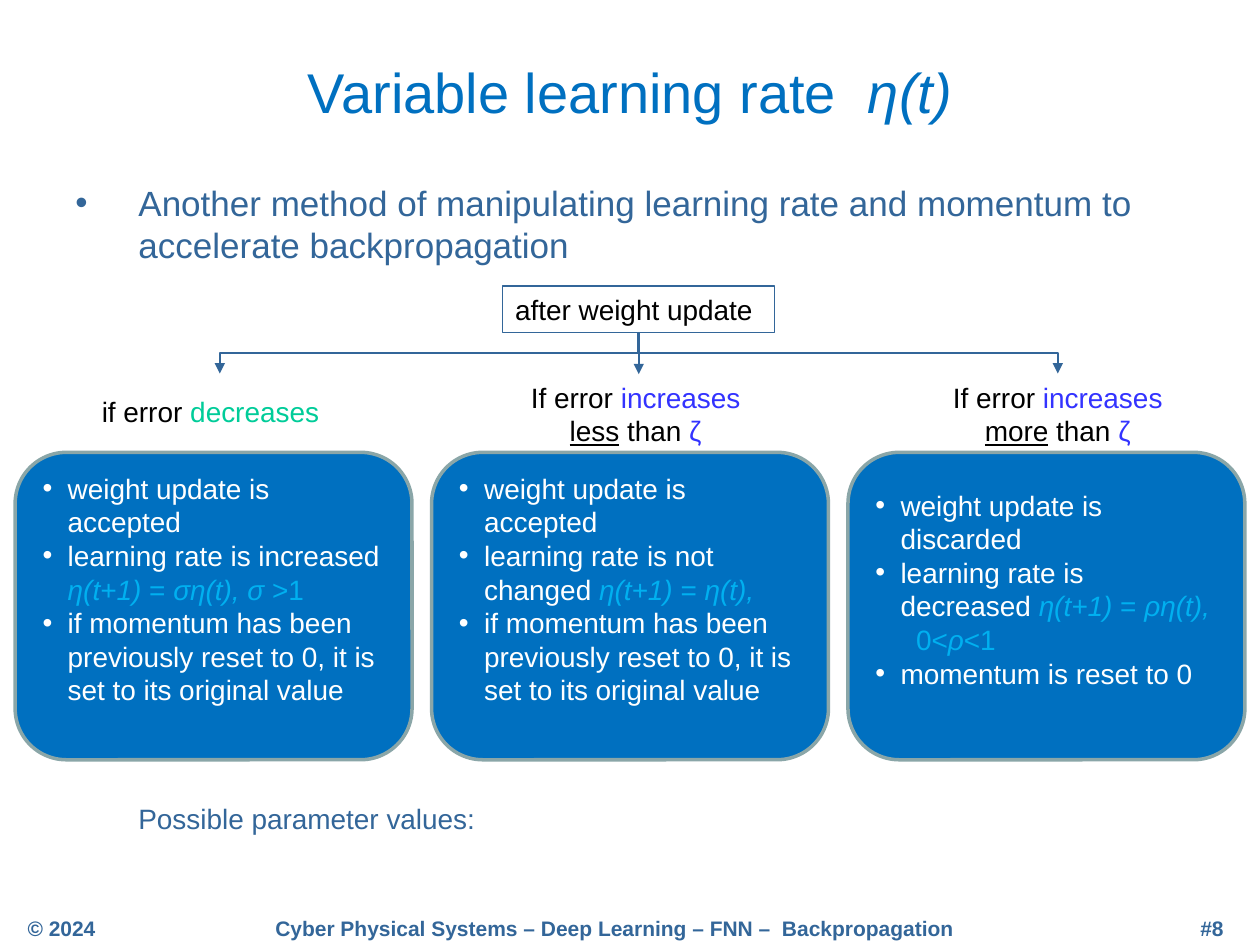
"""Build the slide on the variable learning rate, on a grid of 100 by 75 cells."""
from lxml import etree
from pptx import Presentation
from pptx.dml.color import RGBColor
from pptx.enum.shapes import MSO_CONNECTOR, MSO_SHAPE
from pptx.enum.text import MSO_ANCHOR, PP_ALIGN
from pptx.oxml.ns import qn
from pptx.util import Inches, Pt

LEFT, MID, RIGHT = PP_ALIGN.LEFT, PP_ALIGN.CENTER, PP_ALIGN.RIGHT
TOP, CENTRE = MSO_ANCHOR.TOP, MSO_ANCHOR.MIDDLE
RECT, ROUND = MSO_SHAPE.RECTANGLE, MSO_SHAPE.ROUNDED_RECTANGLE
BENT, STRAIGHT = MSO_CONNECTOR.ELBOW, MSO_CONNECTOR.STRAIGHT
CELL = Inches(0.1)
STEEL, BLUE, SKY, VIOLET = "336699", "0070C0", "00B0F0", "3333FF"
GREEN, GREY, BLACK, WHITE = "00CC99", "8AA6A8", "000000", "FFFFFF"


def tint(code):
    """Turn a hex string into a colour."""
    return RGBColor.from_string(code)


def write(shape, rows, size, align=LEFT, anchor=TOP, indent=0):
    """Fill a shape with rows of (text, colour, style) parts, bulleted if indented."""
    frame = shape.text_frame
    frame.word_wrap, frame.vertical_anchor = True, anchor
    for i, row in enumerate(rows):
        para = frame.add_paragraph() if i else frame.paragraphs[0]
        para.alignment = align
        for words, code, style in row:
            run = para.add_run()
            run.text = words
            font = run.font
            font.name, font.size = "Arial", Pt(size)
            font.color.rgb = tint(code)
            font.bold, font.italic = "b" in style, "i" in style
            font.underline = "u" in style
        if indent:
            props = para._p.get_or_add_pPr()
            props.set("marL", str(Inches(indent)))
            props.set("indent", str(-Inches(indent)))
            face = etree.SubElement(props, qn("a:buFont"))
            face.set("typeface", "Arial")
            etree.SubElement(props, qn("a:buChar")).set("char", "•")


deck = Presentation()
deck.slide_width, deck.slide_height = 100 * CELL, 75 * CELL
slide = deck.slides.add_slide(deck.slide_layouts[6])
shapes = slide.shapes

lead = "Another method of manipulating learning rate and momentum to accelerate backpropagation"
foot = "Cyber Physical Systems – Deep Learning – FNN –  Backpropagation"
title = [("Variable learning rate  ", BLUE, ""), ("η(t)", BLUE, "i")]
texts = [
    ((5, 3, 90, 8.5), title, 32, MID, CENTRE, 0),
    ((5, 13.9, 91.5, 8), [(lead, STEEL, "")], 20, LEFT, TOP, 0.5),
    ((10, 63.1, 40, 3.7), [("Possible parameter values:", STEEL, "")], 16, LEFT, TOP, 0),
    ((1.2, 72.2, 16.5, 2.8), [("© 2024", STEEL, "b")], 12, LEFT, TOP, 0),
    ((17.7, 72.2, 62.2, 2.8), [(foot, STEEL, "b")], 12, MID, TOP, 0),
    ((72, 72.2, 26.1, 2.8), [("#8", STEEL, "b")], 12, RIGHT, TOP, 0),
    ((7.1, 30.8, 19.7, 3.7),
     [("if error ", BLACK, ""), ("decreases", GREEN, "")], 16, LEFT, TOP, 0),
]
for x, word in ((40.6, "less"), (74.1, "more")):
    parts = [("If error ", BLACK, ""), ("increases ", VIOLET, ""),
             (word, BLACK, "u"), (" than ", BLACK, ""), ("ζ", VIOLET, "")]
    texts.append(((x, 29.7, 19.7, 6.4), parts, 16, MID, TOP, 0))
for place, row, size, align, anchor, indent in texts:
    box = shapes.add_textbox(*[int(n * CELL) for n in place])
    write(box, [row], size, align, anchor, indent)

reset = "if momentum has been previously reset to 0, it is set to its original value"
start = [("η(t+1)", SKY, "i"), (" = ", SKY, "")]
cards = [
    ("weight update is accepted", "learning rate is increased ",
     [("ση(t), σ ", SKY, "i"), (">1", SKY, "")], reset),
    ("weight update is accepted", "learning rate is not changed ",
     [("η(t),", SKY, "i")], reset),
    ("weight update is discarded", "learning rate is decreased ",
     [("ρη(t),  ", SKY, "i"), (" 0<", SKY, ""), ("ρ", SKY, "i"), ("<1", SKY, "")],
     "momentum is reset to 0"),
]
for i, (first, rate, rule, last) in enumerate(cards):
    card = shapes.add_shape(ROUND, int((1.2 + 33.05 * i) * CELL), int(35.9 * CELL),
                            int(31.5 * CELL), int(24.4 * CELL))
    card.shadow.inherit = False
    card.fill.solid()
    card.fill.fore_color.rgb = tint(BLUE)
    card.line.color.rgb, card.line.width = tint(GREY), Pt(2)
    card.text_frame.margin_bottom = Inches(0.32)
    rows = [[(first, WHITE, "")], [(rate, WHITE, "")] + start + rule, [(last, WHITE, "")]]
    write(card, rows, 16, LEFT, CENTRE, 0.2)

root = shapes.add_shape(RECT, int(39.9 * CELL), int(22.7 * CELL),
                        int(21.6 * CELL), int(3.7 * CELL))
root.shadow.inherit = False
root.fill.background()
root.line.color.rgb, root.line.width = tint(STEEL), Pt(0.75)
write(root, [[("after weight update", BLACK, "")]], 16)

links = [
    (BENT, (69, 11.4, 65.7, 44.6), 270),
    (BENT, (32.4, 11.4, 35.7, 44.6), 90),
    (STRAIGHT, (50.7, 26.4, 50.7, 29.7), 0),
]
for kind, ends, turn in links:
    link = shapes.add_connector(kind, *[int(n * CELL) for n in ends])
    link.line.color.rgb, link.line.width = tint(STEEL), Pt(1)
    props = link._element.spPr
    if turn:
        props.find(qn("a:xfrm")).set("rot", str(turn * 60000))
    else:
        link.begin_connect(root, 2)
    etree.SubElement(props.find(qn("a:ln")), qn("a:tailEnd")).set("type", "triangle")
    etree.SubElement(props, qn("a:effectLst"))

deck.save("out.pptx")
